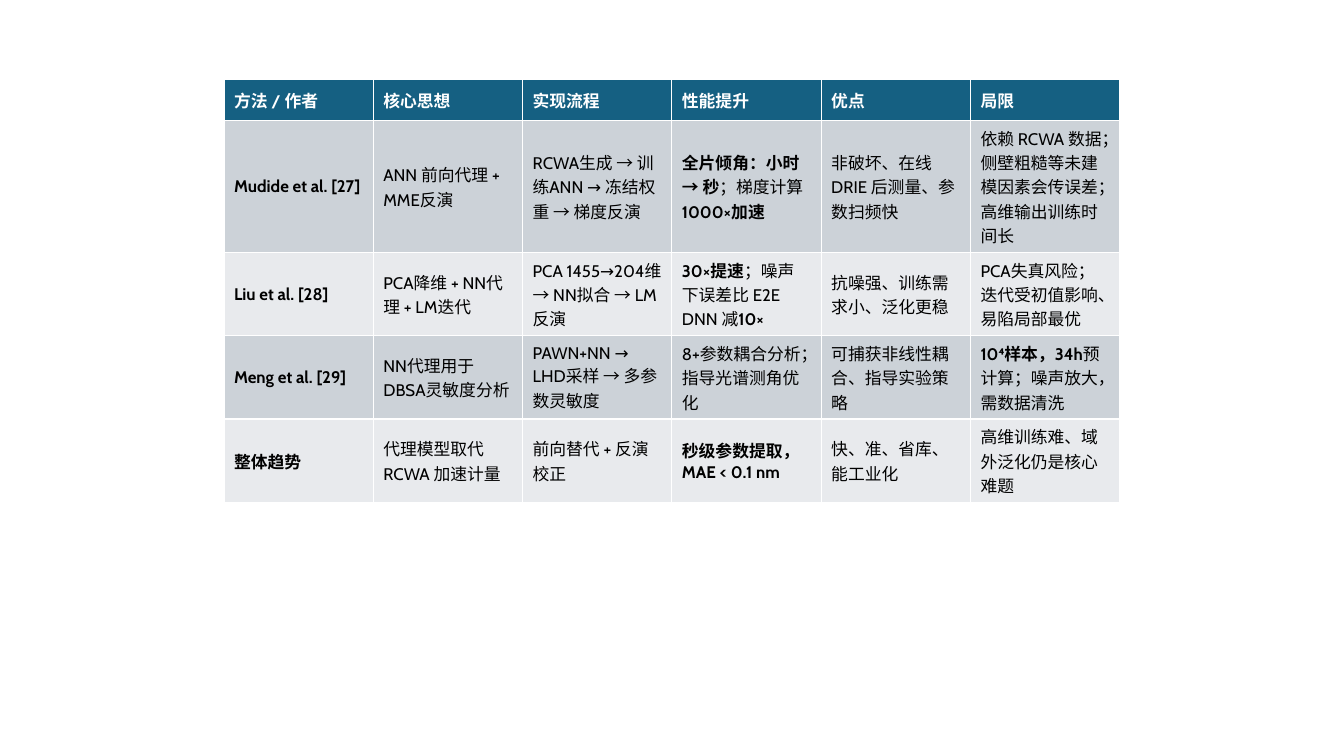
from dataclasses import dataclass

from pptx import Presentation
from pptx.dml.color import RGBColor
from pptx.enum.text import MSO_ANCHOR
from pptx.util import Pt


@dataclass(frozen=True)
class Theme:
    font: str = "Cabin"
    size: int = 12
    header_fill: str = "156082"
    header_text: str = "FFFFFF"
    text: str = "000000"
    bands: tuple = ("CCD2D8", "E8EAED")


theme = Theme()

# Text between double asterisks is bold.
HEADERS = ["方法 / 作者", "核心思想", "实现流程", "性能提升", "优点", "局限"]
METHODS = [
    ["**Mudide et al. [27]**", "ANN 前向代理 + MME反演",
     "RCWA生成 → 训练ANN → 冻结权重 → 梯度反演",
     "**全片倾角：小时 → 秒**；梯度计算**1000×加速**",
     "非破坏、在线 DRIE 后测量、参数扫频快",
     "依赖 RCWA 数据；侧壁粗糙等未建模因素会传误差；高维输出训练时间长"],
    ["**Liu et al. [28]**", "PCA降维 + NN代理 + LM迭代",
     "PCA 1455→204维 → NN拟合 → LM反演",
     "**30×提速**；噪声下误差比 E2E DNN 减**10×**",
     "抗噪强、训练需求小、泛化更稳",
     "PCA失真风险；迭代受初值影响、易陷局部最优"],
    ["**Meng et al. [29]**", "NN代理用于 DBSA灵敏度分析",
     "PAWN+NN → LHD采样 → 多参数灵敏度",
     "8+参数耦合分析；指导光谱测角优化",
     "可捕获非线性耦合、指导实验策略",
     "**10⁴样本，34h**预计算；噪声放大，需数据清洗"],
    ["**整体趋势**", "代理模型取代 RCWA 加速计量", "前向替代 + 反演校正",
     "**秒级参数提取，MAE < 0.1 nm**", "快、准、省库、能工业化",
     "高维训练难、域外泛化仍是核心难题"],
]


def fill_cell(cell, text, fill, color):
    cell.fill.solid()
    cell.fill.fore_color.rgb = RGBColor.from_string(fill)
    cell.vertical_anchor = MSO_ANCHOR.MIDDLE
    p = cell.text_frame.paragraphs[0]
    for i, part in enumerate(text.split("**")):
        if part:
            r = p.add_run()
            r.text = part
            r.font.name = theme.font
            r.font.size = Pt(theme.size)
            r.font.bold = i % 2 == 1
            r.font.color.rgb = RGBColor.from_string(color)


prs = Presentation()
prs.slide_width, prs.slide_height = Pt(960), Pt(540)
slide = prs.slides.add_slide(prs.slide_layouts[6])

sp = slide.shapes.add_table(len(METHODS) + 1, len(HEADERS),
                            Pt(160), Pt(57), Pt(640), Pt(146))
table = sp.table
for row in table.rows:
    row.height = Pt(29.2)

for col, header in enumerate(HEADERS):
    fill_cell(table.cell(0, col), f"**{header}**", theme.header_fill, theme.header_text)
for row, method in enumerate(METHODS):
    for col, text in enumerate(method):
        fill_cell(table.cell(row + 1, col), text, theme.bands[row % 2], theme.text)

prs.save("out.pptx")
